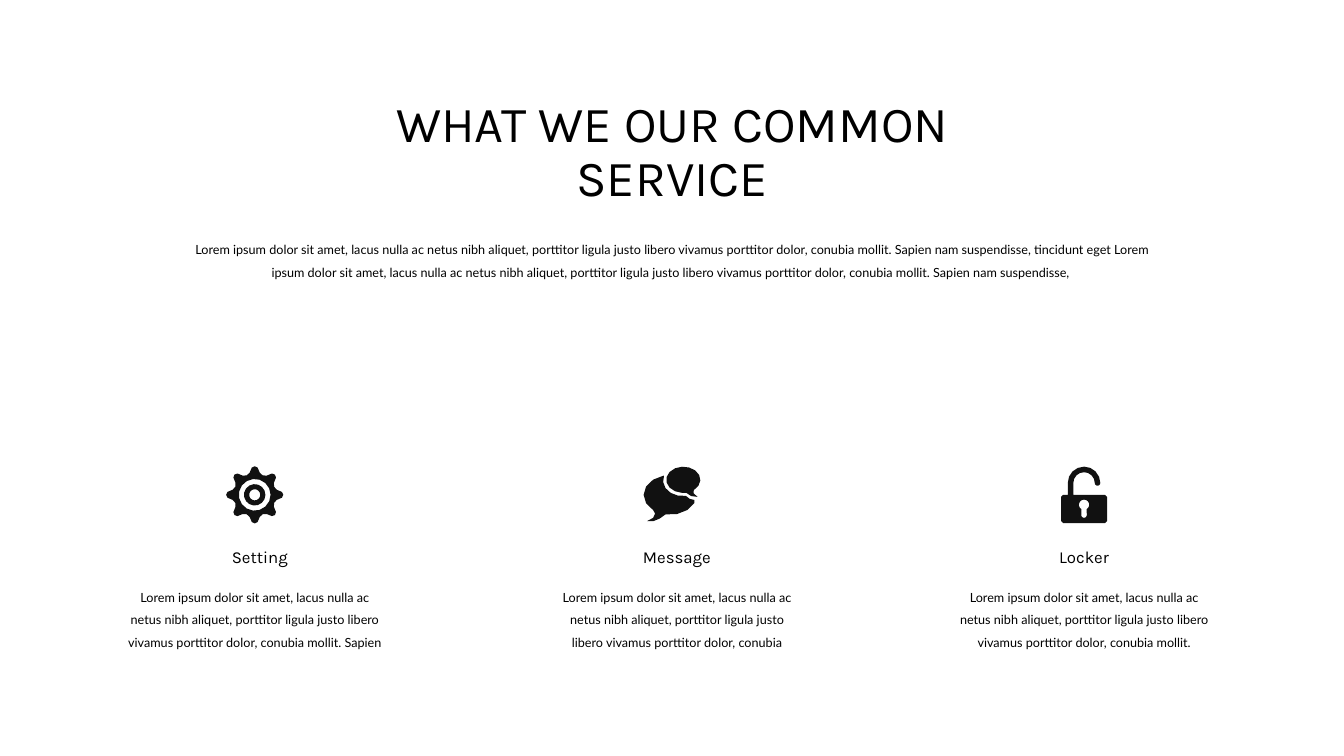
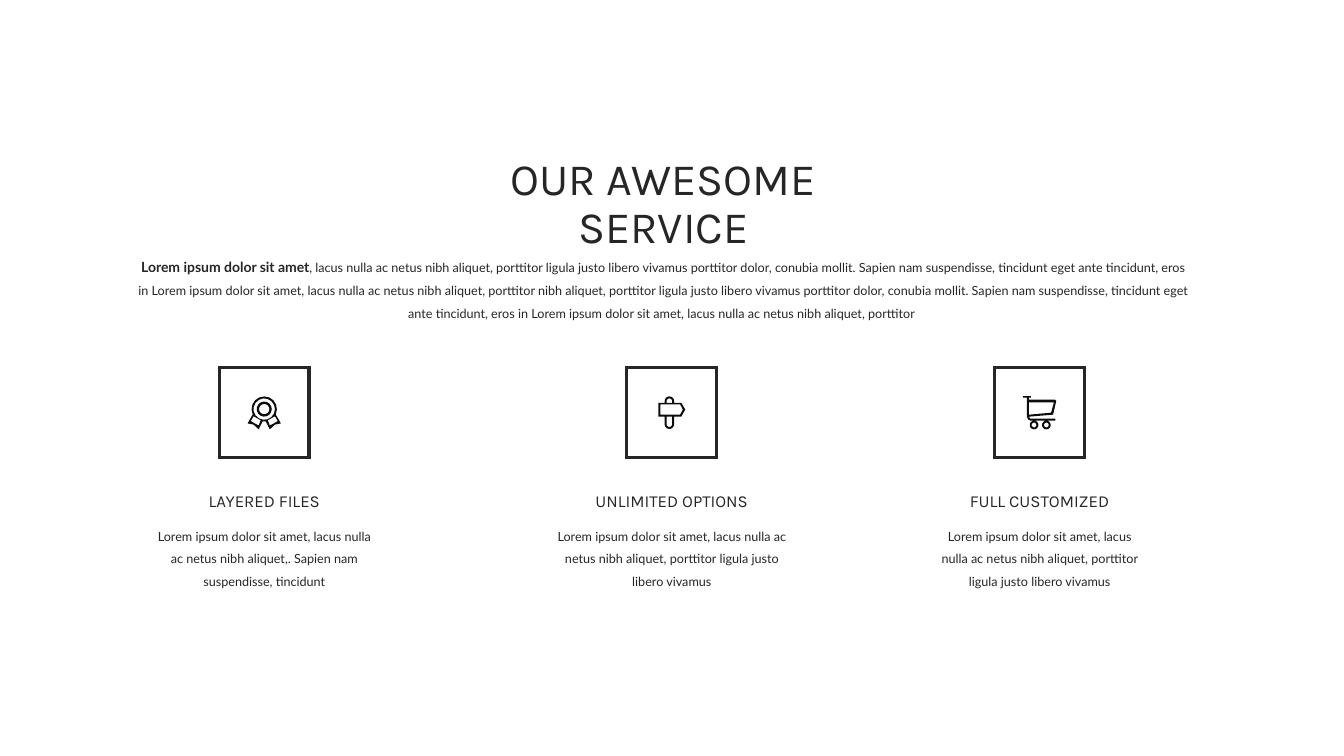
import dataclasses
import math
import typing

import lxml.etree
import pptx
import pptx.dml.color
import pptx.enum.shapes
import pptx.enum.text
import pptx.oxml.ns
import pptx.presentation
import pptx.shapes.autoshape
import pptx.slide
import pptx.util

Cm = pptx.util.Cm
Point = tuple[float, float]
Contour = list[Point]
Icon = list[Contour]

HEADING_FONT = "Karla"
BODY_FONT = "Lato"
BODY_SIZE = 9
LABEL_SIZE = 12
LABEL_WIDTH = 6.4
FRAME_SIDE = 2.26
WHITE = "FFFFFF"


class Area(typing.NamedTuple):
    left: float
    top: float
    width: float
    height: float


class Style(typing.NamedTuple):
    font: str
    size: float
    color: str
    spacing: float
    before: float = 0


SLIDE = Area(0, 0, 33.87, 19.05)


@dataclasses.dataclass(frozen=True)
class Service:
    name: str
    text: str
    icon: Icon
    center: float
    width: float
    icon_shift: float = 0
    label_shift: float = 0


@dataclasses.dataclass(frozen=True)
class ServicePage:
    title: str
    title_area: Area
    title_size: float
    lead: str
    intro: str
    intro_area: Area
    veil_opacity: int
    text_color: str
    icon_color: str
    framed: bool
    icon_center: float
    label_top: float
    label_spacing: float
    label_before: float
    body_top: float
    services: list[Service]


def rgb(color: str) -> pptx.dml.color.RGBColor:
    return pptx.dml.color.RGBColor.from_string(color)


def arc(x: float, y: float, rx: float, ry: float, start: float = 0, end: float = 360) -> Contour:
    steps = max(3, round(abs(end - start) / 24))
    angles = [math.radians(start + (end - start) * step / steps) for step in range(steps + 1)]
    return [(x + rx * math.cos(angle), y + ry * math.sin(angle)) for angle in angles]


def circle(x: float, y: float, radius: float) -> Contour:
    return arc(x, y, radius, radius)[:-1]


def mirrored(contour: Contour) -> Contour:
    return [(-x, y) for x, y in reversed(contour)]


def gear_icon() -> Icon:
    rim = []
    for tooth in range(8):
        for degree, radius in ((-13, 0.57), (-6, 0.69), (0, 0.72), (6, 0.69), (13, 0.57), (22.5, 0.53)):
            angle = math.radians(45 * tooth + degree)
            rim.append((radius * math.cos(angle), radius * math.sin(angle)))
    return [rim] + [circle(0, 0, radius) for radius in (0.4, 0.27, 0.14)]


def message_icon() -> Icon:
    front = arc(0.3, -0.38, 0.43, 0.33, 95, 412)
    front += [(0.56, -0.04), (0.66, 0.05), (0.5, 0.03), (0.38, -0.05)]
    back = arc(0.28, -0.36, 0.49, 0.39, 198, 80)
    back += [(0.46, 0.1), (0.58, 0.13)]
    back += arc(-0.03, 0, 0.67, 0.5, 24, 100)
    back += [(-0.3, 0.6), (-0.45, 0.66), (-0.61, 0.66), (-0.46, 0.58), (-0.41, 0.47)]
    back += arc(-0.03, 0, 0.67, 0.5, 130, 255)
    return [front, back]


def lock_icon() -> Icon:
    body = [
        (0.58, 0.66), (0.53, 0.71), (-0.53, 0.71), (-0.58, 0.66),
        (-0.58, 0.05), (-0.53, 0.0), (0.53, 0.0), (0.58, 0.05),
    ]
    shackle = [(-0.41, 0.0)] + arc(0, -0.3, 0.41, 0.41, 180, 360)
    shackle += arc(0.34, -0.3, 0.07, 0.07, 0, 180)
    shackle += arc(0, -0.3, 0.27, 0.27, 0, -180) + [(-0.27, 0.0)]
    keyhole = arc(0, 0.25, 0.13, 0.13, 120, 420) + arc(0, 0.51, 0.07, 0.07, 0, 180)
    return [body, shackle, keyhole]


def award_icon() -> Icon:
    ribbon = [(-0.04, 0.22), (-0.14, 0.42), (-0.27, 0.3), (-0.42, 0.27)]
    ribbon_hole = [(-0.14, 0.32), (-0.24, 0.27), (-0.34, 0.21), (-0.27, 0.09), (-0.09, 0.19)]
    outline = arc(0, -0.09, 0.32, 0.32, 155, 385) + mirrored(ribbon) + ribbon
    rings = [circle(0, -0.09, radius) for radius in (0.27, 0.19, 0.13)]
    return [outline, ribbon_hole, mirrored(ribbon_hole)] + rings


def signpost_icon() -> Icon:
    outline = [(-0.34, 0.1), (-0.34, -0.25), (-0.18, -0.25)]
    outline += arc(-0.06, -0.29, 0.12, 0.12, 180, 360)
    outline += [(0.06, -0.25), (0.24, -0.25), (0.34, -0.08), (0.24, 0.1), (0.06, 0.1)]
    outline += arc(-0.06, 0.29, 0.12, 0.12, 0, 180) + [(-0.18, 0.1)]
    board = [(-0.29, -0.21), (0.21, -0.21), (0.28, -0.08), (0.21, 0.05), (-0.29, 0.05)]
    post_top = [(-0.13, -0.25)] + arc(-0.06, -0.29, 0.07, 0.07, 180, 360) + [(0.01, -0.25)]
    post_foot = [(0.01, 0.1)] + arc(-0.06, 0.29, 0.07, 0.07, 0, 180) + [(-0.13, 0.1)]
    return [outline, board, post_top, post_foot]


def cart_icon() -> Icon:
    frame = [
        (-0.42, -0.42), (-0.22, -0.42), (-0.22, -0.38), (-0.27, -0.38), (-0.27, -0.33),
        (0.39, -0.33), (0.42, -0.3), (0.34, 0.05), (-0.27, 0.1), (-0.24, 0.15),
        (0.4, 0.15), (0.4, 0.2), (-0.23, 0.2), (-0.29, 0.17), (-0.32, 0.1),
        (-0.32, -0.38), (-0.42, -0.38),
    ]
    basket = [(-0.27, -0.26), (0.36, -0.26), (0.29, 0.0), (-0.27, 0.05)]
    wheels = [circle(x, 0.31, radius) for x in (-0.14, 0.17) for radius in (0.11, 0.06)]
    return [frame, basket] + wheels


def add_icon(page: pptx.slide.Slide, icon: Icon, x: float, y: float, color: str) -> None:
    contours = [[(Cm(px), Cm(py)) for px, py in contour] for contour in icon]
    builder = page.shapes.build_freeform(*contours[0][0])
    for index, contour in enumerate(contours):
        if index:
            builder.move_to(*contour[0])
        builder.add_line_segments(contour[1:], close=True)
    shape = builder.convert_to_shape(Cm(x), Cm(y))
    shape.shadow.inherit = False
    shape.fill.solid()
    shape.fill.fore_color.rgb = rgb(color)
    shape.line.fill.background()


def add_rectangle(page: pptx.slide.Slide, area: Area) -> pptx.shapes.autoshape.Shape:
    kind = pptx.enum.shapes.MSO_SHAPE.RECTANGLE
    shape = page.shapes.add_shape(kind, *(Cm(length) for length in area))
    shape.shadow.inherit = False
    return shape


def add_veil(page: pptx.slide.Slide, opacity: int) -> None:
    veil = add_rectangle(page, SLIDE)
    veil.line.fill.background()
    veil.fill.solid()
    veil.fill.fore_color.rgb = rgb(WHITE)
    tint = next(veil.element.iter(pptx.oxml.ns.qn("a:srgbClr")))
    lxml.etree.SubElement(tint, pptx.oxml.ns.qn("a:alpha"), val=str(opacity * 1000))


def add_frame(page: pptx.slide.Slide, x: float, y: float, color: str) -> None:
    half = FRAME_SIDE / 2
    frame = add_rectangle(page, Area(x - half, y - half, FRAME_SIDE, FRAME_SIDE))
    frame.fill.background()
    frame.line.color.rgb = rgb(color)
    frame.line.width = pptx.util.Pt(2.25)
    outline = next(frame.element.iter(pptx.oxml.ns.qn("a:ln")))
    lxml.etree.SubElement(outline, pptx.oxml.ns.qn("a:miter"), lim="800000")


def add_text(page: pptx.slide.Slide, area: Area, text: str, style: Style, lead: str = "") -> None:
    box = page.shapes.add_textbox(*(Cm(length) for length in area))
    box.text_frame.word_wrap = True
    para = box.text_frame.paragraphs[0]
    para.alignment = pptx.enum.text.PP_ALIGN.CENTER
    para.line_spacing = style.spacing
    para.space_before = pptx.util.Pt(style.before)
    para.font.name = style.font
    para.font.size = pptx.util.Pt(style.size)
    para.font.color.rgb = rgb(style.color)
    if lead:
        span = para.add_run()
        span.text = lead
        span.font.bold = True
        span.font.size = pptx.util.Pt(style.size + 1)
    para.add_run().text = text


def add_service_page(deck: pptx.presentation.Presentation, content: ServicePage) -> None:
    page = deck.slides.add_slide(deck.slide_layouts[6])
    color = content.text_color
    body_style = Style(BODY_FONT, BODY_SIZE, color, 1.5)
    label_style = Style(HEADING_FONT, LABEL_SIZE, color, content.label_spacing, content.label_before)
    title_style = Style(HEADING_FONT, content.title_size, color, 0.9, 10)
    add_veil(page, content.veil_opacity)
    add_text(page, content.title_area, content.title, title_style)
    add_text(page, content.intro_area, content.intro, body_style, content.lead)
    for service in content.services:
        icon_x = service.center + service.icon_shift
        if content.framed:
            add_frame(page, icon_x, content.icon_center, color)
        add_icon(page, service.icon, icon_x, content.icon_center, content.icon_color)
        label_left = service.center + service.label_shift - LABEL_WIDTH / 2
        add_text(page, Area(label_left, content.label_top, LABEL_WIDTH, 0.76), service.name, label_style)
        body_left = service.center - service.width / 2
        add_text(page, Area(body_left, content.body_top, service.width, 1.98), service.text, body_style)


LOREM = "Lorem ipsum dolor sit amet"
NIBH = ", lacus nulla ac netus nibh aliquet"
LIGULA = ", porttitor ligula justo libero vivamus"
CONUBIA = " porttitor dolor, conubia"
SAPIEN = " mollit. Sapien nam suspendisse, "
SHORT = LOREM + NIBH + LIGULA
LONG = SHORT + CONUBIA
ANTE = "tincidunt eget ante tincidunt, eros in "

PAGES = [
    ServicePage(
        title="WHAT WE OUR COMMON SERVICE", title_area=Area(8.15, 2.37, 17.58, 3.07), title_size=36,
        lead="", intro=LONG + SAPIEN + "tincidunt eget " + LONG + SAPIEN,
        intro_area=Area(4.37, 5.79, 25.12, 1.35), veil_opacity=80,
        text_color="000000", icon_color="111111", framed=False, icon_center=12.47,
        label_top=13.72, label_spacing=0.9, label_before=10, body_top=14.54,
        services=[
            Service("Setting", LONG + " mollit. Sapien", gear_icon(), 6.42, 6.93, label_shift=0.13),
            Service("Message", LONG, message_icon(), 17.06, 6.65, icon_shift=-0.14),
            Service("Locker", LONG + " mollit.", lock_icon(), 27.32, 6.93),
        ],
    ),
    ServicePage(
        title="OUR AWESOME SERVICE", title_area=Area(10.75, 3.82, 11.94, 1.73), title_size=32,
        lead=LOREM,
        intro=NIBH + LIGULA + CONUBIA + SAPIEN + ANTE + LOREM + NIBH + ", porttitor nibh aliquet"
        + LIGULA + CONUBIA + SAPIEN + ANTE + LOREM + NIBH + ", porttitor ",
        intro_area=Area(3.18, 6.18, 27.05, 2.06), veil_opacity=95,
        text_color="262626", icon_color="0D0D0D", framed=True, icon_center=10.4,
        label_top=12.24, label_spacing=1.0, label_before=0, body_top=13.0,
        services=[
            Service(
                "LAYERED FILES", LOREM + NIBH + ",. Sapien nam suspendisse, tincidunt", award_icon(), 6.66, 6.05
            ),
            Service("UNLIMITED OPTIONS", SHORT, signpost_icon(), 16.93, 6.43),
            Service("FULL CUSTOMIZED", SHORT, cart_icon(), 26.2, 5.46),
        ],
    ),
]


def main() -> None:
    deck = pptx.Presentation()
    deck.slide_width = Cm(SLIDE.width)
    deck.slide_height = Cm(SLIDE.height)
    for content in PAGES:
        add_service_page(deck, content)
    deck.save("out.pptx")


if __name__ == "__main__":
    main()
